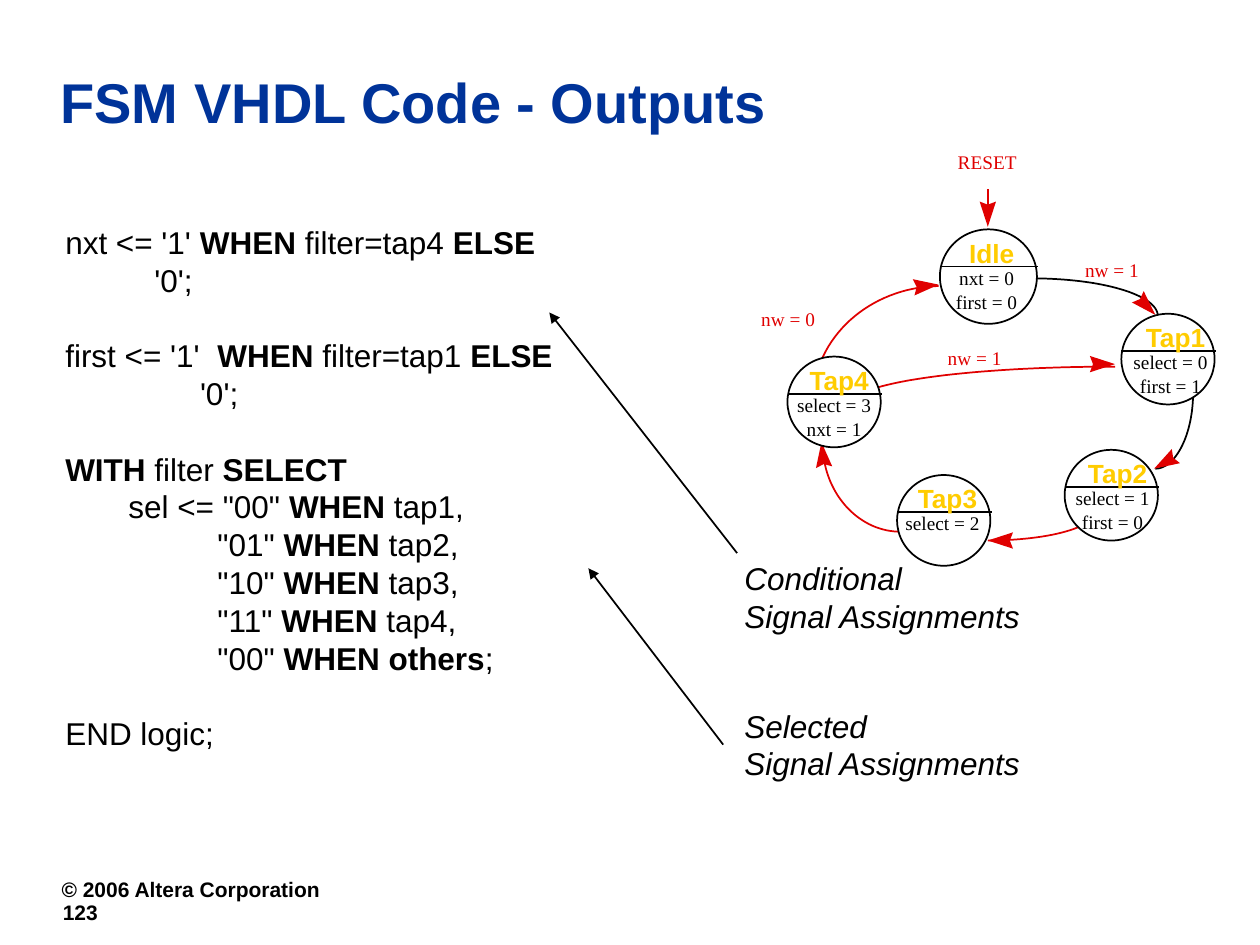
"""Build the slide on the outputs of a VHDL finite state machine."""
from dataclasses import dataclass
from math import cos, radians, sin

from lxml import etree
from pptx import Presentation
from pptx.dml.color import RGBColor
from pptx.enum.shapes import MSO_CONNECTOR, MSO_SHAPE
from pptx.enum.text import MSO_ANCHOR, PP_ALIGN
from pptx.oxml.ns import qn
from pptx.util import Inches, Pt

OVAL = MSO_SHAPE.OVAL
STRAIGHT = MSO_CONNECTOR.STRAIGHT
LEFT, CENTER = PP_ALIGN.LEFT, PP_ALIGN.CENTER
MIDDLE = MSO_ANCHOR.MIDDLE
BLACK = RGBColor(0x00, 0x00, 0x00)
WHITE = RGBColor(0xFF, 0xFF, 0xFF)
RED = RGBColor(0xE0, 0x00, 0x00)
BLUE = RGBColor(0x00, 0x33, 0x99)
YELLOW = RGBColor(0xFF, 0xCC, 0x00)
SANS, SERIF = "Arial", "Times New Roman"

SLIDE_WIDTH, SLIDE_HEIGHT = Inches(10), Inches(7.5)
COLUMN, ROW = SLIDE_WIDTH / 100, SLIDE_HEIGHT / 75
CODE_LEADING = Pt(21.6)
CURVE_STEPS = 32
HEAD_LENGTH, HEAD_HALF_WIDTH, HEAD_NOTCH = 2.0, 0.65, 1.75

Point = tuple[float, float]


@dataclass(frozen=True)
class Style:
    """Look of a piece of text."""
    size: float
    font: str = SANS
    color: RGBColor = BLACK
    bold: bool = False
    italic: bool = False


@dataclass(frozen=True)
class State:
    """A state circle with its name and outputs, in grid units."""
    name: str
    outputs: tuple[str, ...]
    left: float
    top: float
    text_axis: float
    width: float = 7.4
    height: float = 7.2


@dataclass(frozen=True)
class Transition:
    """A cubic curve and the tip and angle of its arrowhead."""
    curve: tuple[Point, Point, Point, Point]
    tip: Point
    angle: float
    color: RGBColor = RED


@dataclass(frozen=True)
class Label:
    """A centred condition beside a transition."""
    text: str
    center: float
    top: float


FOOTER = Style(12, bold=True)
TITLE = Style(32, color=BLUE, bold=True)
CODE = Style(18)
NOTE = Style(18, italic=True)
STATE_NAME = Style(15, color=YELLOW, bold=True)
OUTPUT = Style(11, SERIF)
CONDITION = Style(11, SERIF, RED)

CODE_BLOCKS = (
    ("nxt <= '1' |WHEN| filter=tap4 |ELSE", "\t   '0';"),
    ("first <= '1'  |WHEN| filter=tap1 |ELSE", "\t   \t '0';"),
    ("|WITH| filter |SELECT",
     '\tsel <= "00" |WHEN| tap1,',
     '\t\t   "01" |WHEN| tap2,',
     '\t\t   "10" |WHEN| tap3,',
     '\t\t   "11" |WHEN| tap4,',
     '\t\t   "00" |WHEN others|;'),
    ("END logic;",),
)
STATES = (
    State("Tap1", ("select = 0", "first = 1"), 89, 24.9, 92.9),
    State("Idle", ("nxt = 0", "first = 0"), 74.6, 18.2, 78.3, 7.7, 7.5),
    State("Tap2", ("select = 1", "first = 0"), 84.5, 35.7, 88.3),
    State("Tap3", ("select = 2",), 71.2, 37.7, 74.8),
    State("Tap4", ("select = 3", "nxt = 1"), 62.5, 28.3, 66.2),
)
TRANSITIONS = (
    Transition(((64.5, 31.8), (64.6, 26.8), (69, 22.8), (74.5, 22.7)), (74.5, 22.6), -6),
    Transition(((67.7, 31.9), (68.1, 30.3), (77.3, 29.1), (88.5, 29.1)), (88.5, 28.9), 0),
    Transition(((71.3, 42.2), (68, 42.1), (65.3, 39), (65.3, 35.2)), (65.2, 35.1), -96),
    Transition(((86.9, 40.6), (86.9, 41.9), (83.1, 42.9), (78.4, 42.9)), (78.4, 42.9), 180),
    Transition(((94.7, 31.1), (94.7, 34.5), (93.3, 37.2), (91.7, 37.2)), (91.6, 37.2), 150, BLACK),
    Transition(((81.9, 22.1), (87.4, 22.1), (91.9, 23.4), (91.9, 25.1)), (91.7, 25), 46, BLACK),
)
LABELS = (
    Label("RESET", 78.35, 11.6),
    Label("nw = 1", 88.25, 20.2),
    Label("nw = 1", 77.35, 27.2),
    Label("nw = 0", 62.55, 24.1),
)


def emu(point: Point) -> tuple[int, int]:
    """Turn grid units into slide lengths."""
    return round(point[0] * COLUMN), round(point[1] * ROW)


def format_font(font, style: Style) -> None:
    """Apply a style to a font."""
    font.name, font.size = style.font, Pt(style.size)
    font.bold, font.italic = style.bold, style.italic
    font.color.rgb = style.color


def add_text(slide, position: Point, size: Point, blocks, style: Style,
             alignment=LEFT, inset: Point = (1, 0.5), leading=None) -> None:
    """Add blocks of lines, one line apart, in which bars enclose bold words."""
    text_frame = slide.shapes.add_textbox(*emu(position), *emu(size)).text_frame
    text_frame.word_wrap = False
    text_frame.margin_left = text_frame.margin_right = round(inset[0] * COLUMN)
    text_frame.margin_top = text_frame.margin_bottom = round(inset[1] * ROW)
    text_frame.text = "\n" * (sum(len(block) for block in blocks) - 1)
    paragraphs = iter(text_frame.paragraphs)
    for block_number, block in enumerate(blocks):
        for line_number, line in enumerate(block):
            paragraph = next(paragraphs)
            paragraph.alignment = alignment
            paragraph.line_spacing = leading
            if block_number and not line_number:
                paragraph.space_before = leading
            for part_number, part in enumerate(line.split("|")):
                if part:
                    run = paragraph.add_run()
                    run.text = part
                    format_font(run.font, style)
                    run.font.bold = style.bold or part_number % 2 == 1


def add_label(slide, text: str, center: float, top: float, style: Style) -> None:
    """Add one line of diagram text centred on a vertical axis."""
    width, height = 7.1, style.size * 0.16 + 0.7
    add_text(slide, (center - width / 2, top), (width, height), ((text,),), style,
             CENTER, (0.6, 0.3))


def add_line(slide, start: Point, end: Point, color=BLACK, arrow: bool = False) -> None:
    """Draw a straight line, with an arrowhead at its end if asked."""
    connector = slide.shapes.add_connector(STRAIGHT, *emu(start), *emu(end))
    connector.line.color.rgb, connector.line.width = color, Pt(1)
    if arrow:
        etree.SubElement(connector.line._get_or_add_ln(), qn("a:tailEnd"), type="triangle")
    etree.SubElement(connector._element.spPr, qn("a:effectLst"))


def add_outline(slide, points: list[Point], closed: bool):
    """Build a freeform through the points."""
    start, *others = [emu(point) for point in points]
    builder = slide.shapes.build_freeform(*start)
    builder.add_line_segments(others, close=closed)
    shape = builder.convert_to_shape()
    shape.shadow.inherit = False
    return shape


def add_arrowhead(slide, tip: Point, angle: float) -> None:
    """Draw a notched red arrowhead pointing along the angle."""
    along, across = cos(radians(angle)), sin(radians(angle))
    corners = ((0, 0), (HEAD_LENGTH, HEAD_HALF_WIDTH), (HEAD_NOTCH, 0),
               (HEAD_LENGTH, -HEAD_HALF_WIDTH))
    points = [(tip[0] - back * along - side * across, tip[1] - back * across + side * along)
              for back, side in corners]
    head = add_outline(slide, points, True)
    head.fill.solid()
    head.fill.fore_color.rgb = RED
    head.line.fill.background()


def add_transition(slide, transition: Transition) -> None:
    """Draw a transition curve and its arrowhead."""
    points = []
    for step in range(CURVE_STEPS + 1):
        share = step / CURVE_STEPS
        rest = 1 - share
        weights = (rest ** 3, 3 * rest ** 2 * share, 3 * rest * share ** 2, share ** 3)
        points.append(tuple(sum(weight * point[axis] for weight, point
                                in zip(weights, transition.curve)) for axis in (0, 1)))
    curve = add_outline(slide, points, False)
    curve.fill.background()
    curve.line.color.rgb, curve.line.width = transition.color, Pt(1)
    add_arrowhead(slide, transition.tip, transition.angle)


def add_state(slide, state: State) -> None:
    """Draw a state circle, its divider, name and outputs."""
    circle = slide.shapes.add_shape(OVAL, *emu((state.left, state.top)),
                                    *emu((state.width, state.height)))
    circle.shadow.inherit = False
    circle.fill.solid()
    circle.fill.fore_color.rgb = WHITE
    circle.line.color.rgb, circle.line.width = BLACK, Pt(1)
    divider = state.top + 2.95
    add_line(slide, (state.left, divider), (state.left + state.width + 0.1, divider))
    add_label(slide, state.name, state.text_axis + 0.4, state.top + 0.3, STATE_NAME)
    for number, output in enumerate(state.outputs):
        add_label(slide, output, state.text_axis, state.top + 2.6 + 1.9 * number, OUTPUT)


def add_title(slide, text: str) -> None:
    """Place and format the title with its soft shadow."""
    title = slide.shapes.title
    (title.left, title.top), (title.width, title.height) = emu((3.8, 3)), emu((91.1, 10))
    title.text_frame.text = text
    title.text_frame.vertical_anchor = MIDDLE
    paragraph = title.text_frame.paragraphs[0]
    paragraph.alignment = LEFT
    run = paragraph.runs[0]
    format_font(run.font, TITLE)
    effects = etree.Element(qn("a:effectLst"))
    shadow = etree.SubElement(effects, qn("a:outerShdw"), dist="25400", dir="2700000")
    etree.SubElement(shadow, qn("a:srgbClr"), val="C0C0C0")
    run.font.fill._xPr.find(qn("a:solidFill")).addnext(effects)


def main() -> None:
    """Assemble and save the slide."""
    presentation = Presentation()
    presentation.slide_width, presentation.slide_height = SLIDE_WIDTH, SLIDE_HEIGHT
    slide = presentation.slides.add_slide(presentation.slide_layouts[5])
    add_title(slide, "FSM VHDL Code - Outputs")
    add_text(slide, (3.9, 69.1), (46.5, 4.2), (("© 2006 Altera Corporation",),), FOOTER)
    add_text(slide, (4, 70.9), (7.6, 3.1), (("123",),), FOOTER)
    add_text(slide, (4.2, 17.2), (46.6, 43), CODE_BLOCKS, CODE, leading=CODE_LEADING)
    for transition in TRANSITIONS:
        add_transition(slide, transition)
    add_line(slide, (78.4, 15), (78.4, 16.6), RED)
    add_arrowhead(slide, (78.4, 18), 90)
    for state in STATES:
        add_state(slide, state)
    for label in LABELS:
        add_label(slide, label.text, label.center, label.top, CONDITION)
    for kind, top in (("Conditional", 43.9), ("Selected", 55.6)):
        add_text(slide, (58.1, top), (24, 7), ((kind, "Signal Assignments"),), NOTE,
                 leading=CODE_LEADING)
    add_line(slide, (58.5, 43.9), (43.6, 24.8), arrow=True)
    add_line(slide, (57.4, 59.1), (46.7, 45.1), arrow=True)
    presentation.save("out.pptx")


if __name__ == "__main__":
    main()
